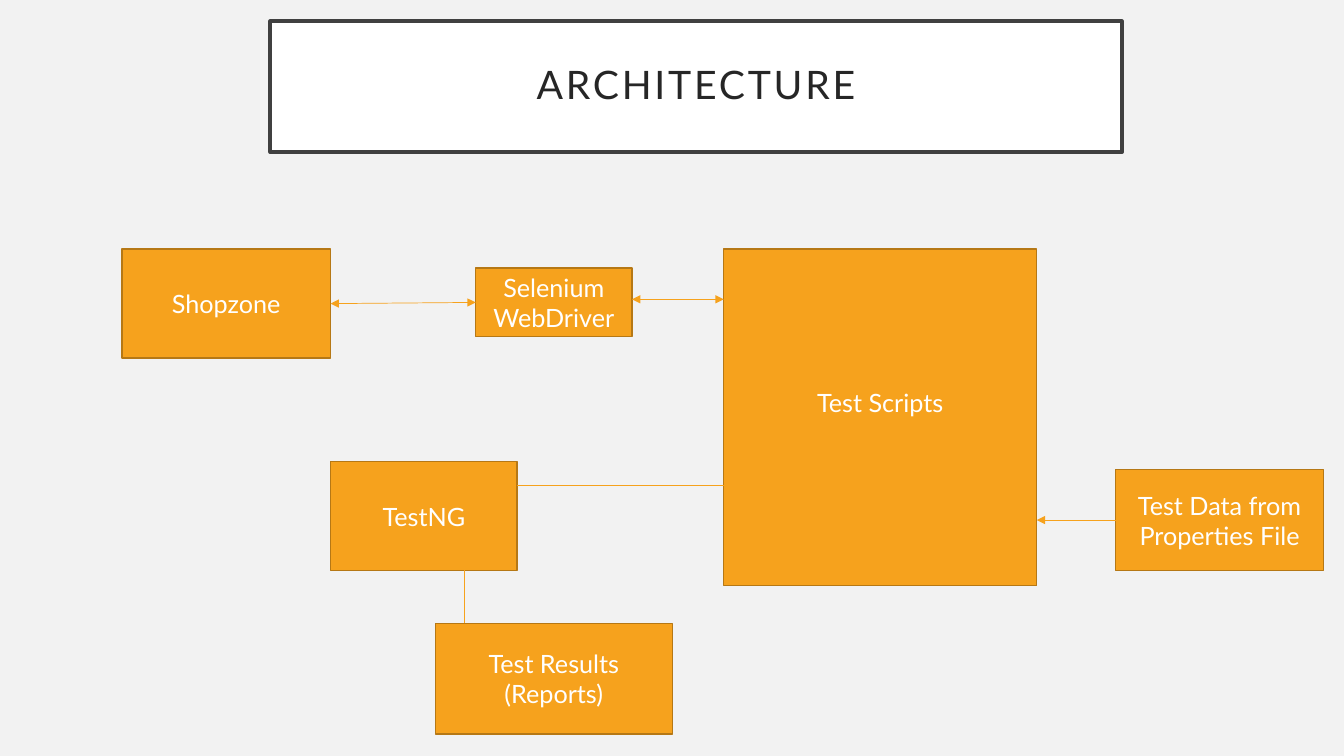
from lxml.etree import SubElement
from pptx import Presentation
from pptx.dml.color import RGBColor
from pptx.enum.shapes import MSO_CONNECTOR, MSO_SHAPE
from pptx.enum.text import MSO_ANCHOR, PP_ALIGN
from pptx.oxml.ns import qn
from pptx.util import Pt

PAPER = RGBColor(0xF2, 0xF2, 0xF2)
WHITE = RGBColor(0xFF, 0xFF, 0xFF)
INK = RGBColor(0x26, 0x26, 0x26)
FRAME = RGBColor(0x40, 0x40, 0x40)
AMBER = RGBColor(0xF6, 0xA2, 0x1D)
BROWN = RGBColor(0xB6, 0x78, 0x15)

deck = Presentation()
deck.slide_width, deck.slide_height = Pt(960), Pt(540)
slide = deck.slides.add_slide(deck.slide_layouts[6])
slide.background.fill.solid()
slide.background.fill.fore_color.rgb = PAPER


def add_box(text, left, top, width, height, fill=AMBER, edge=BROWN, weight=1,
            size=18, color=WHITE, space=0, lead=1, side=7.2, foot=3.6):
    box = slide.shapes.add_shape(MSO_SHAPE.RECTANGLE, Pt(left), Pt(top), Pt(width), Pt(height))
    box.shadow.inherit = False
    box.fill.solid()
    box.fill.fore_color.rgb = fill
    box.line.color.rgb = edge
    box.line.width = Pt(weight)
    frame = box.text_frame
    frame.word_wrap = True
    frame.vertical_anchor = MSO_ANCHOR.MIDDLE
    frame.margin_left = frame.margin_right = Pt(side)
    frame.margin_top, frame.margin_bottom = Pt(3.6), Pt(foot)
    frame.text = text
    for para in frame.paragraphs:
        para.alignment = PP_ALIGN.CENTER
        para.line_spacing = lead
        for run in para.runs:
            run.font.name = "Lato"
            run.font.size = Pt(size)
            run.font.color.rgb = color
            if space:
                run.font._element.set("spc", str(space * 100))


def add_link(start, end, *heads):
    link = slide.shapes.add_connector(MSO_CONNECTOR.STRAIGHT, *map(Pt, start + end))
    link.line.color.rgb = AMBER
    link.line.width = Pt(0.5)
    for head in heads:
        SubElement(link.line._get_or_add_ln(), qn("a:" + head), type="triangle")
    SubElement(link._element.spPr, qn("a:effectLst"))


add_box("ARCHITECTURE", 193, 15.1, 608.4, 93.6, fill=WHITE, edge=FRAME,
        weight=2.5, size=28, color=INK, space=2, lead=0.9, side=14.4)

boxes = [
    ("Shopzone", 87.1, 178, 149, 77.8),
    ("Test Results\n(Reports)", 311, 445.2, 169.2, 79.2),
    ("TestNG", 236.2, 329.6, 133.2, 77.8),
    ("Test Data from Properties File", 797, 335.5, 148.3, 72),
    ("Selenium WebDriver", 339.8, 191.5, 111.6, 49),
]
for box in boxes:
    add_box(*box)
add_box("Test Scripts", 517, 178, 223.6, 240.5, foot=25.2)

links = [
    ((369.4, 347), (517, 347)),
    ((331.9, 407.4), (331.9, 445.2)),
    ((797, 371.5), (740.6, 371.5), "tailEnd"),
    ((451.4, 213.8), (517, 213.8), "headEnd", "tailEnd"),
    ((236.1, 216.9), (339.8, 216), "headEnd", "tailEnd"),
]
for link in links:
    add_link(*link)

deck.save("out.pptx")
